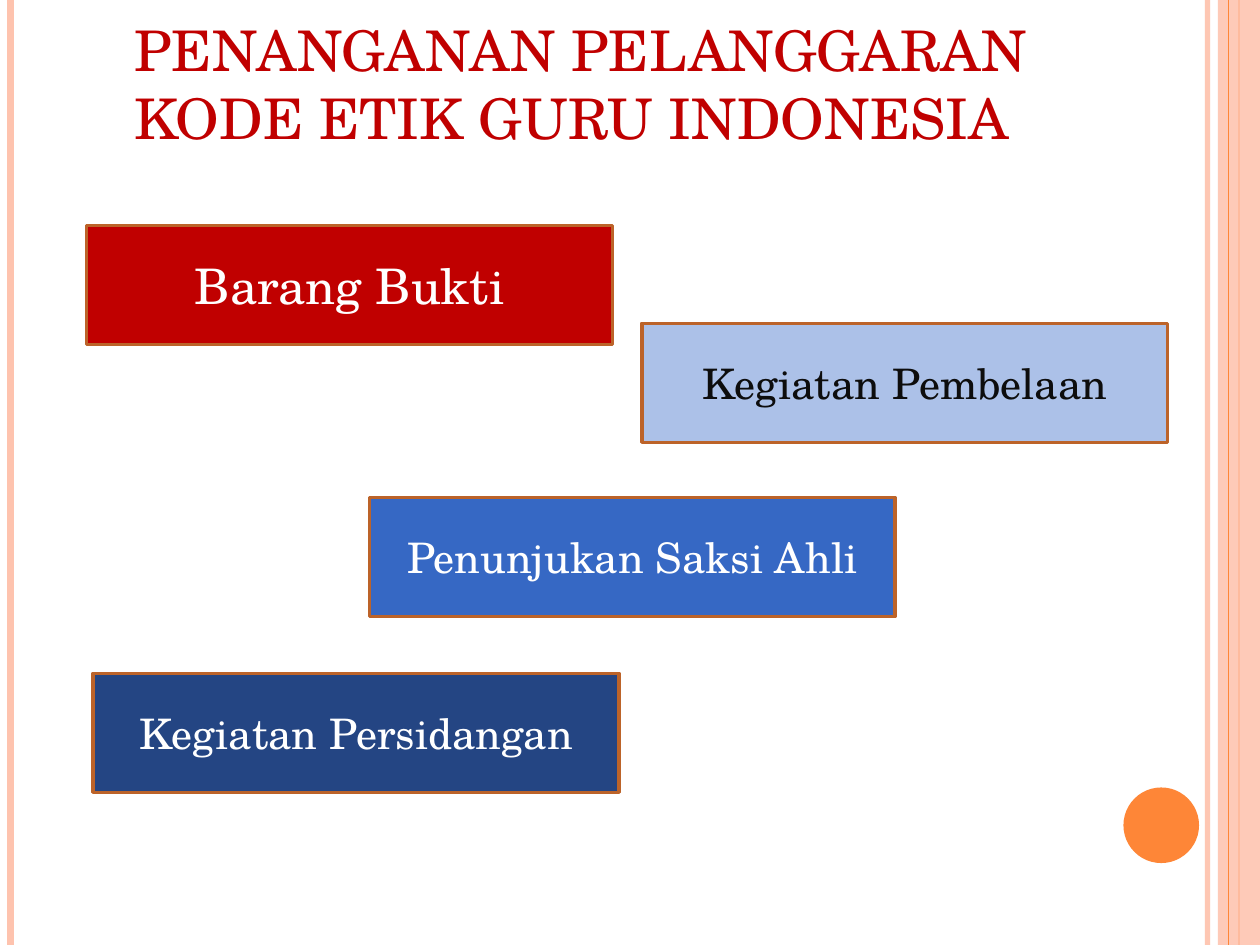
from lxml.etree import Element, SubElement
from pptx import Presentation
from pptx.dml.color import RGBColor
from pptx.enum.shapes import MSO_CONNECTOR, MSO_SHAPE
from pptx.enum.text import MSO_ANCHOR, PP_ALIGN
from pptx.oxml.ns import qn
from pptx.util import Pt

FONT = "TeX Gyre Schola"
WHITE = RGBColor(0xFF, 0xFF, 0xFF)
BLACK = RGBColor(0x0D, 0x0D, 0x0D)
RED = RGBColor(0xC0, 0x00, 0x00)
PINK = RGBColor(0xFE, 0xC3, 0xAE)
ORANGE = RGBColor(0xFE, 0x86, 0x37)
BROWN = RGBColor(0xBC, 0x63, 0x29)
TITLE_EDGE = RGBColor(0xB0, 0x5D, 0x26)
LIGHT_BLUE = RGBColor(0xAC, 0xC1, 0xE8)
BLUE = RGBColor(0x36, 0x68, 0xC4)
NAVY = RGBColor(0x24, 0x45, 0x83)

WIDTH, HEIGHT = 720, 540
BOX_W, BOX_H = 300.5, 68
TITLE = "PENANGANAN PELANGGARAN KODE ETIK GURU INDONESIA"

# text, left, top, fill, text colour, text size
BOXES = [
    ("Barang Bukti", 49.5, 128.75, RED, WHITE, 28),
    ("Kegiatan Pembelaan", 366.75, 184.75, LIGHT_BLUE, BLACK, 24),
    ("Penunjukan Saksi Ahli", 211, 284.25, BLUE, WHITE, 24),
    ("Kegiatan Persidangan", 53.25, 384.75, NAVY, WHITE, 24),
]
# x, colour, width, opacity in percent
LINES_BEHIND = [(690, PINK, 3, 93), (6, PINK, 4.5, 100), (708, ORANGE, 1.5, 100)]
LINES_FRONT = [(702, ORANGE, 0.75, 100)]


def set_opacity(sp, percent):
    color = sp._element.spPr.find(".//" + qn("a:srgbClr"))
    SubElement(color, qn("a:alpha"), val=str(percent * 1000))


def add_stripes(s, lines):
    for x, color, width, opacity in lines:
        c = s.shapes.add_connector(MSO_CONNECTOR.STRAIGHT, Pt(x), 0, Pt(x), Pt(HEIGHT))
        c.line.color.rgb = color
        c.line.width = Pt(width)
        if opacity < 100:
            set_opacity(c, opacity)
        SubElement(c._element.spPr, qn("a:effectLst"))


def add_block(s, kind, left, top, width, height, fill, line=None):
    sp = s.shapes.add_shape(kind, Pt(left), Pt(top), Pt(width), Pt(height))
    sp.shadow.inherit = False
    sp.fill.solid()
    sp.fill.fore_color.rgb = fill
    if line is None:
        sp.line.fill.background()
    else:
        sp.line.color.rgb = line
        sp.line.width = Pt(2)
    return sp


def set_text(sp, text, size, color, align=PP_ALIGN.CENTER):
    tf = sp.text_frame
    tf.word_wrap = True
    tf.vertical_anchor = MSO_ANCHOR.MIDDLE
    p = tf.paragraphs[0]
    p.alignment = align
    r = p.add_run()
    r.text = text
    r.font.name = FONT
    r.font.size = Pt(size)
    r.font.color.rgb = color
    return p


prs = Presentation()
prs.slide_width, prs.slide_height = Pt(WIDTH), Pt(HEIGHT)
s = prs.slides.add_slide(prs.slide_layouts[6])

# Edge stripes, right band and dot
add_stripes(s, LINES_BEHIND)
band = add_block(s, MSO_SHAPE.RECTANGLE, 696, 0, 24, HEIGHT, PINK)
set_opacity(band, 87)
add_stripes(s, LINES_FRONT)
add_block(s, MSO_SHAPE.OVAL, 642, 450, 43.2, 43.2, ORANGE)

# Title with a thin outline
title = s.shapes.add_textbox(Pt(31.5), Pt(5), Pt(648.75), Pt(85))
p = set_text(title, TITLE, 32, RED, align=PP_ALIGN.LEFT)
p._p.get_or_add_pPr().set("marL", str(Pt(38.25)))
edge = Element(qn("a:ln"), w=str(Pt(0.5)))
SubElement(SubElement(edge, qn("a:solidFill")), qn("a:srgbClr"), val=str(TITLE_EDGE))
p.runs[0]._r.get_or_add_rPr().insert(0, edge)

# Staggered boxes
for text, left, top, fill, color, size in BOXES:
    sp = add_block(s, MSO_SHAPE.RECTANGLE, left, top, BOX_W, BOX_H, fill, line=BROWN)
    set_text(sp, text, size, color)

prs.save("out.pptx")
